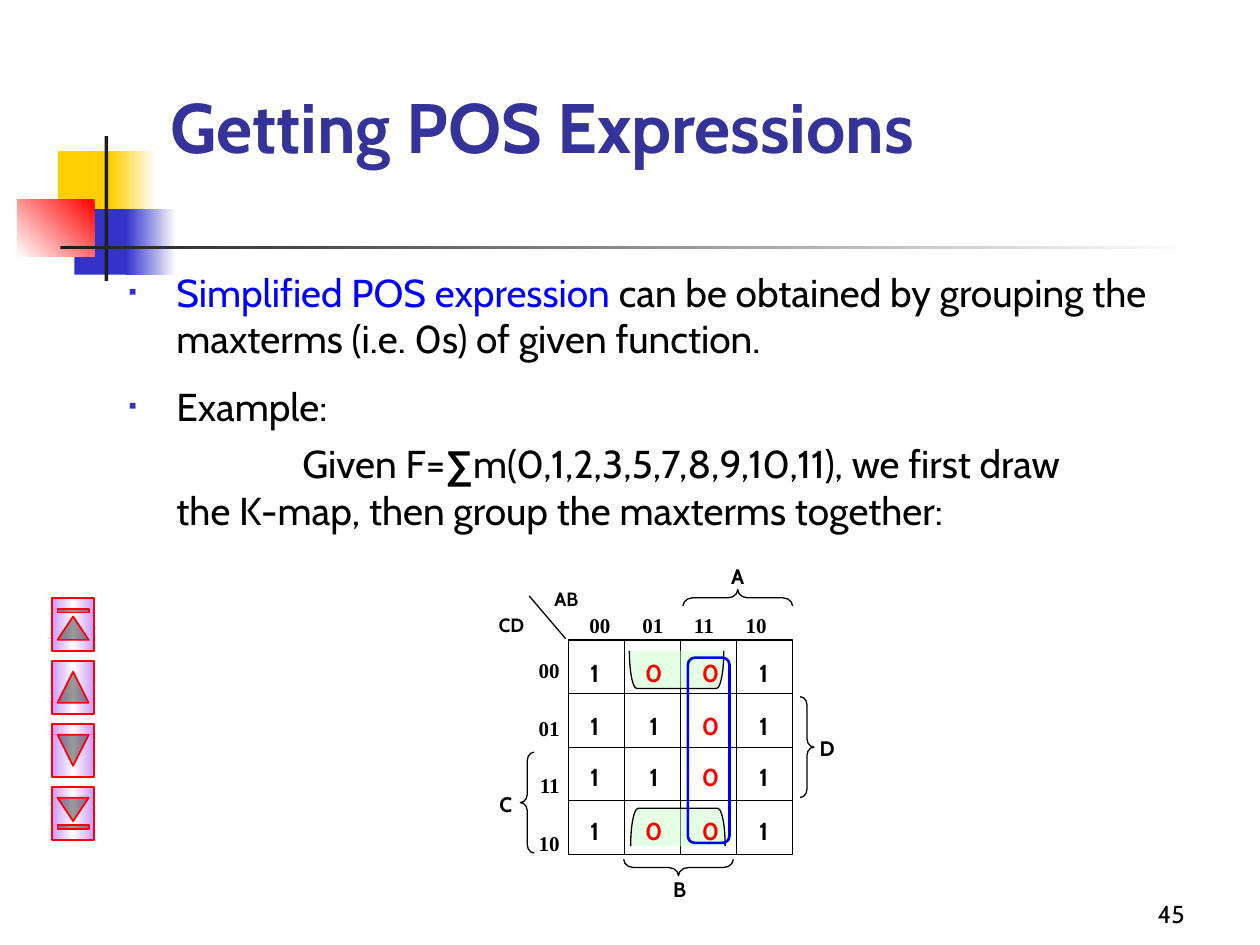
"""Build the slide on getting POS expressions from a Karnaugh map."""
from dataclasses import dataclass

from lxml import etree
from pptx import Presentation
from pptx.dml.color import RGBColor
from pptx.enum.shapes import MSO_CONNECTOR, MSO_SHAPE
from pptx.enum.text import MSO_ANCHOR, MSO_AUTO_SIZE, PP_ALIGN
from pptx.oxml.ns import qn
from pptx.util import Inches, Pt

RECTANGLE = MSO_SHAPE.RECTANGLE
LEFT_BRACE = MSO_SHAPE.LEFT_BRACE
RIGHT_BRACE = MSO_SHAPE.RIGHT_BRACE
LEFT_BRACKET = MSO_SHAPE.LEFT_BRACKET
ROUNDED = MSO_SHAPE.ROUNDED_RECTANGLE
STRAIGHT = MSO_CONNECTOR.STRAIGHT
LEFT, CENTER, RIGHT = PP_ALIGN.LEFT, PP_ALIGN.CENTER, PP_ALIGN.RIGHT
TOP, BOTTOM = MSO_ANCHOR.TOP, MSO_ANCHOR.BOTTOM
NO_FIT = MSO_AUTO_SIZE.NONE


@dataclass(frozen=True)
class Theme:
    font: str = "Cabin"
    symbol_font: str = "Arial"
    code_font: str = "Times New Roman"
    black: str = "000000"
    white: str = "FFFFFF"
    title: str = "333399"
    blue: str = "0000FF"
    red: str = "FF0000"
    yellow: str = "FFCF01"
    indigo: str = "3333CC"
    dark: str = "1C1C1C"
    green: str = "CCFFCC"
    violet: str = "CC99FF"
    title_size: float = 40
    body_size: float = 22.2
    digit_size: float = 14
    label_size: float = 12
    axis_size: float = 11


theme = Theme()


def add_run(paragraph, text, size=theme.body_size, color=theme.black, font=theme.font, bold=False):
    run = paragraph.add_run()
    run.text = text
    run.font.size = Pt(size)
    run.font.name = font
    run.font.bold = bold
    run.font.color.rgb = RGBColor.from_string(color)


def add_shape(kind, box, colors=(), angle=0, alpha=None, line=None, width=0.75, rotation=0, adjust=None):
    shape = slide.shapes.add_shape(kind, *map(Inches, box))
    shape.shadow.inherit = False
    shape.rotation = rotation
    if adjust is not None:
        shape.adjustments[0] = adjust
    if len(colors) > 1:
        shape.fill.gradient()
        shape.fill.gradient_angle = angle
        stops = shape.element.spPr.find(".//" + qn("a:gsLst"))
        stops.clear()
        for index, color in enumerate(colors):
            position = str(100000 * index // (len(colors) - 1))
            stop = etree.SubElement(stops, qn("a:gs"), pos=position)
            etree.SubElement(stop, qn("a:srgbClr"), val=color)
    elif colors:
        shape.fill.solid()
        shape.fill.fore_color.rgb = RGBColor.from_string(colors[0])
    else:
        shape.fill.background()
    if alpha:
        solid_color = shape.element.spPr.find(qn("a:solidFill"))[0]
        etree.SubElement(solid_color, qn("a:alpha"), val=str(alpha * 1000))
    if line:
        shape.line.color.rgb = RGBColor.from_string(line)
        shape.line.width = Pt(width)
    else:
        shape.line.fill.background()
    return shape


presentation = Presentation()
presentation.slide_width = Inches(10)
presentation.slide_height = Inches(7.5)
slide = presentation.slides.add_slide(presentation.slide_layouts[1])

for box, colors, angle in [
    ((0.46, 1.2, 0.48, 0.52), [theme.yellow], 0),
    ((0.88, 1.2, 0.36, 0.52), [theme.yellow, theme.white], 0),
    ((0.59, 1.66, 0.46, 0.52), [theme.indigo], 0),
    ((1, 1.66, 0.4, 0.52), [theme.indigo, theme.white], 0),
    ((0.14, 1.58, 0.61, 0.46), [theme.red, theme.white], 225),
    ((0.83, 1.08, 0.03, 1.15), [theme.dark], 0),
    ((0.48, 1.95, 9, 0.03), [theme.dark, theme.white], 0),
]:
    add_shape(RECTANGLE, box, colors, angle)

title, body = slide.placeholders
for placeholder, box, anchor in [
    (title, (1.25, 0.5, 8.5, 0.88), BOTTOM),
    (body, (0.92, 2.08, 8.83, 2.42), TOP),
]:
    placeholder.left, placeholder.top, placeholder.width, placeholder.height = map(Inches, box)
    placeholder.text_frame.auto_size = NO_FIT
    placeholder.text_frame.vertical_anchor = anchor

heading = title.text_frame.paragraphs[0]
heading.alignment = LEFT
add_run(heading, "Getting POS Expressions", size=theme.title_size, color=theme.title, bold=True)

first, example, given = [body.text_frame.paragraphs[0]] + [body.text_frame.add_paragraph() for _ in range(2)]
for paragraph, before, indent, bullet in [
    (first, 0, -0.38, True),
    (example, 12, -0.38, True),
    (given, 6, 1, False),
]:
    properties = paragraph._p.get_or_add_pPr()
    properties.set("marL", str(Inches(0.38)))
    properties.set("indent", str(Inches(indent)))
    if bullet:
        bullet_color = etree.SubElement(properties, qn("a:buClr"))
        etree.SubElement(bullet_color, qn("a:srgbClr"), val=theme.indigo)
        etree.SubElement(properties, qn("a:buSzPct"), val="60000")
        etree.SubElement(properties, qn("a:buChar"), char="▪")
    else:
        etree.SubElement(properties, qn("a:buNone"))
    paragraph.space_before = Pt(before)
add_run(first, "Simplified POS expression", color=theme.blue)
add_run(first, " can be obtained by grouping the maxterms (i.e. 0s) of given function.")
add_run(example, "Example:")
add_run(given, "Given F=")
add_run(given, "∑", font=theme.symbol_font, bold=True)
add_run(given, "m(0,1,2,3,5,7,8,9,10,11), we first draw")
given.add_line_break()
add_run(given, "the K-map, then group the maxterms together:")

map_left, map_top, map_width, map_height = 4.51, 5.08, 1.78, 1.7
map_right, map_bottom = map_left + map_width, map_top + map_height
map_frame = add_shape(RECTANGLE, (map_left, map_top, map_width, map_height), line=theme.black)
lines = [(4.49, 5.07, 4.2, 4.73, None)]
for step in range(1, 4):
    x, y = map_left + step * map_width / 4, map_top + step * map_height / 4
    lines.append((x, map_top, x, map_bottom, (0, 2) if step == 2 else None))
    lines.append((map_left, y, map_right, y, (1, 3) if step == 2 else None))
for x1, y1, x2, y2, sites in lines:
    connector = slide.shapes.add_connector(STRAIGHT, *map(Inches, (x1, y1, x2, y2)))
    connector.line.color.rgb = RGBColor.from_string(theme.black)
    connector.line.width = Pt(0.75)
    etree.SubElement(connector.element.spPr, qn("a:effectLst"))
    if sites:
        connector.begin_connect(map_frame, sites[0])
        connector.end_connect(map_frame, sites[1])

for kind, box, rotation in [
    (LEFT_BRACE, (4.13, 5.97, 0.11, 0.8), 0),
    (LEFT_BRACE, (5.79, 4.31, 0.13, 0.87), 90),
    (LEFT_BRACE, (5.32, 6.45, 0.13, 0.87), 270),
    (RIGHT_BRACE, (6.35, 5.53, 0.11, 0.8), 0),
]:
    add_shape(kind, box, line=theme.black, rotation=rotation, adjust=0.6)
for box, rotation in [((5.23, 6.19, 0.3, 0.75), 90), ((5.22, 4.94, 0.3, 0.75), 270)]:
    add_shape(LEFT_BRACKET, box, [theme.green], alpha=50, line=theme.black, rotation=rotation, adjust=0.2)

labels = [
    ("A", (5.69, 4.42, 0.33, 0.27), CENTER, theme.label_size, theme.black, theme.font),
    ("B", (5.23, 6.91, 0.33, 0.26), CENTER, theme.label_size, theme.black, theme.font),
    ("C", (3.85, 6.23, 0.33, 0.34), CENTER, theme.label_size, theme.black, theme.font),
    ("D", (6.4, 5.79, 0.33, 0.34), CENTER, theme.label_size, theme.black, theme.font),
    ("AB", (4.24, 4.61, 0.51, 0.29), CENTER, theme.axis_size, theme.black, theme.font),
    ("CD", (3.75, 4.82, 0.62, 0.29), CENTER, theme.axis_size, theme.black, theme.font),
    ("00\t01\t11\t10", (4.58, 4.81, 1.66, 0.34), LEFT, theme.label_size, theme.black, theme.code_font),
    ("00\n01\n11\n10", (4.15, 5.17, 0.39, 1.76), RIGHT, theme.label_size, theme.black, theme.code_font),
]
for row, top in zip(["1001", "1101", "1101", "1001"], [5.17, 5.59, 6, 6.43]):
    for digit, left in zip(row, [4.5, 4.97, 5.42, 5.84]):
        color = theme.red if digit == "0" else theme.black
        labels.append((digit, (left, top, 0.44, 0.34), CENTER, theme.digit_size, color, theme.font))
for text, box, alignment, size, color, font in labels:
    frame = slide.shapes.add_textbox(*map(Inches, box)).text_frame
    frame.word_wrap = True
    for index, line in enumerate(text.split("\n")):
        paragraph = frame.add_paragraph() if index else frame.paragraphs[0]
        if "\t" in line:
            tabs = etree.SubElement(paragraph._p.get_or_add_pPr(), qn("a:tabLst"))
            for position in (0.42, 0.83, 1.24):
                etree.SubElement(tabs, qn("a:tab"), pos=str(Inches(position)), algn="l")
        paragraph.alignment = alignment
        paragraph.space_before = Pt(18.5 if index else 0)
        add_run(paragraph, line, size=size, color=color, font=font, bold=True)
add_shape(ROUNDED, (5.46, 5.22, 0.33, 1.47), line=theme.blue, width=1.5)

for index, kind in enumerate([
    MSO_SHAPE.ACTION_BUTTON_BEGINNING,
    MSO_SHAPE.ACTION_BUTTON_BACK_OR_PREVIOUS,
    MSO_SHAPE.ACTION_BUTTON_FORWARD_OR_NEXT,
    MSO_SHAPE.ACTION_BUTTON_END,
]):
    add_shape(kind, (0.37, 4.79 + 0.5 * index, 0.42, 0.33), [theme.violet, theme.white, theme.violet],
              angle=270, line=theme.red, width=1, rotation=90)

number_frame = slide.shapes.add_textbox(*map(Inches, (7.42, 6.92, 2.08, 0.5))).text_frame
number_frame.word_wrap = True
number_frame.vertical_anchor = BOTTOM
number_frame.paragraphs[0].alignment = RIGHT
add_run(number_frame.paragraphs[0], "45", size=theme.digit_size)
presentation.save("out.pptx")
